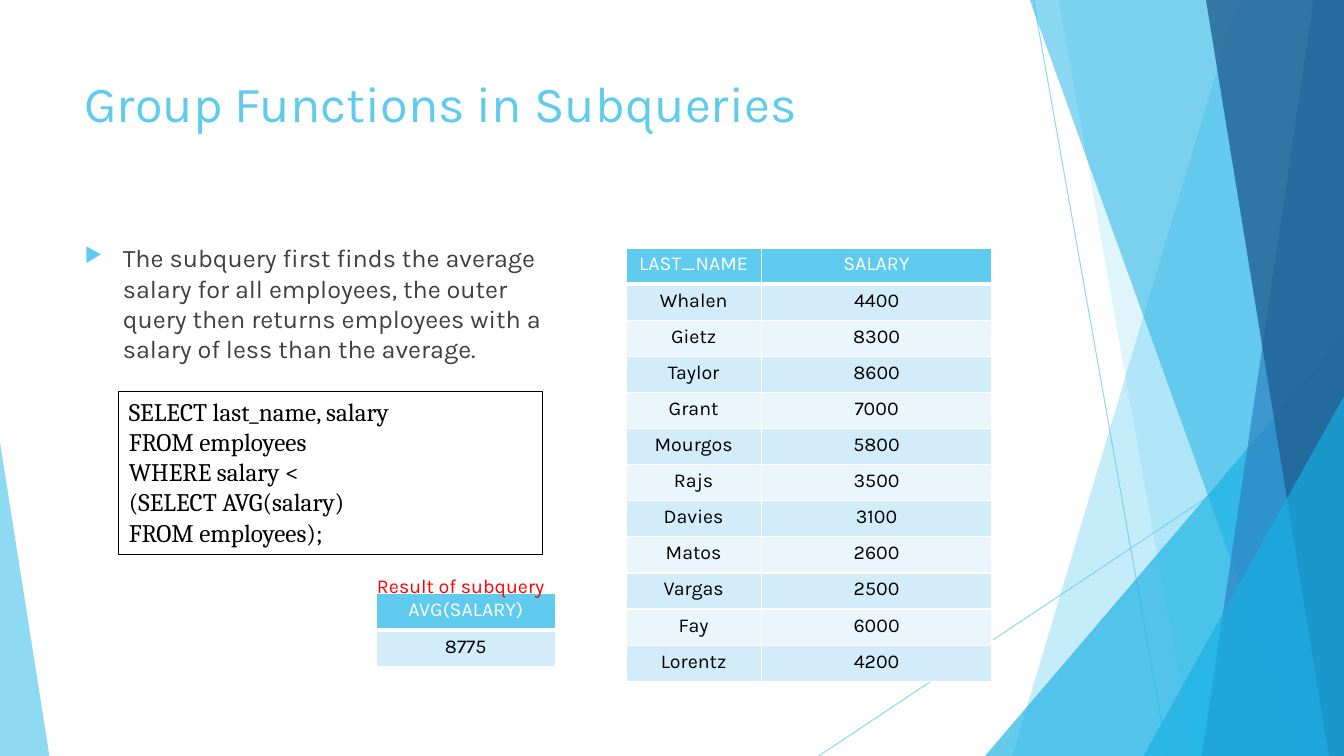
from lxml import etree
from pptx import Presentation
from pptx.dml.color import RGBColor
from pptx.enum.shapes import MSO_CONNECTOR, MSO_SHAPE
from pptx.enum.text import MSO_ANCHOR, PP_ALIGN
from pptx.oxml.ns import qn
from pptx.util import Inches, Pt

SKY, AZURE, BLACK, WHITE = "5FCBEF", "17B0E4", "000000", "FFFFFF"
BANDS = ("EAF6FC", "D2ECF9")
TOP, BOTTOM, RIGHT = -0.01, 7.5, 13.33


def color(value):
    return RGBColor.from_string(value)


def add_color(parent, value):
    node = etree.SubElement(parent, qn("a:srgbClr"))
    node.set("val", value)
    return node


def set_alpha(fill_parent, percent):
    node = next(fill_parent.iter(qn("a:srgbClr")))
    etree.SubElement(node, qn("a:alpha")).set("val", str(percent * 1000))


class SlideBuilder:
    """Draws styled elements on the current slide."""

    font_name = "Karla"

    def __init__(self, slide):
        self.slide = slide
        self.shapes = slide.shapes

    def line(self, x1, y1, x2, y2):
        connector = self.shapes.add_connector(
            MSO_CONNECTOR.STRAIGHT, *map(Inches, (x1, y1, x2, y2)))
        connector.line.color.rgb = color(SKY)
        connector.line.width = Pt(0.75)
        properties = connector._element.spPr
        set_alpha(properties, 70)
        etree.SubElement(properties, qn("a:effectLst"))

    def paint(self, shape, fill, alpha):
        shape.shadow.inherit = False
        shape.fill.solid()
        shape.fill.fore_color.rgb = color(fill)
        set_alpha(shape._element.spPr, alpha)
        shape.line.fill.background()

    def band(self, top_left, bottom_left, fill, alpha):
        builder = self.shapes.build_freeform(
            Inches(top_left), Inches(TOP), scale=1.0)
        corners = [(RIGHT, TOP), (RIGHT, BOTTOM), (bottom_left, BOTTOM)]
        builder.add_line_segments(
            [(Inches(x), Inches(y)) for x, y in corners], close=True)
        self.paint(builder.convert_to_shape(), fill, alpha)

    def triangle(self, left, top, width, apex, fill, alpha):
        shape = self.shapes.add_shape(
            MSO_SHAPE.ISOSCELES_TRIANGLE,
            *map(Inches, (left, top, width, BOTTOM - top)))
        shape.adjustments[0] = apex
        self.paint(shape, fill, alpha)

    def fill_paragraph(self, paragraph, text, size, text_color, font_name=None):
        paragraph.text = text
        paragraph.font.size = Pt(size)
        paragraph.font.name = font_name or self.font_name
        paragraph.font.color.rgb = color(text_color)

    def text(self, box, text, size, text_color):
        shape = self.shapes.add_textbox(*map(Inches, box))
        shape.text_frame.word_wrap = True
        paragraph = shape.text_frame.paragraphs[0]
        self.fill_paragraph(paragraph, text, size, text_color)
        return paragraph

    def bullet(self, box, text, size, text_color):
        paragraph = self.text(box, text, size, text_color)
        paragraph.space_before = Pt(10)
        properties = paragraph._p.get_or_add_pPr()
        properties.set("marL", str(Inches(0.38)))
        properties.set("indent", str(Inches(-0.38)))
        marker = [etree.Element(qn(tag))
                  for tag in ("a:buClr", "a:buSzPct", "a:buChar")]
        add_color(marker[0], SKY)
        marker[1].set("val", "80000")
        marker[2].set("char", "▶")
        spacing = properties.find(qn("a:spcBef"))
        for node in reversed(marker):
            spacing.addnext(node)

    def code(self, box, lines):
        shape = self.shapes.add_shape(MSO_SHAPE.RECTANGLE, *map(Inches, box))
        shape.shadow.inherit = False
        shape.fill.background()
        shape.line.color.rgb = color(BLACK)
        shape.line.width = Pt(0.75)
        frame = shape.text_frame
        frame.word_wrap = True
        frame.vertical_anchor = MSO_ANCHOR.TOP
        for index, line in enumerate(lines):
            paragraph = frame.add_paragraph() if index else frame.paragraphs[0]
            paragraph.alignment = PP_ALIGN.LEFT
            self.fill_paragraph(paragraph, line, 18, BLACK, "Cambria")

    def borders(self, cell, bottom):
        properties = cell._tc.get_or_add_tcPr()
        for side, width in (("L", 1), ("R", 1), ("T", 1), ("B", bottom)):
            border = etree.SubElement(properties, qn("a:ln" + side))
            border.set("w", str(Pt(width)))
            add_color(etree.SubElement(border, qn("a:solidFill")), WHITE)

    def table(self, left, top, height, widths, rows):
        frame = self.shapes.add_table(
            len(rows), len(widths),
            *map(Inches, (left, top, sum(widths), height)))
        table = frame.table
        for column, width in zip(table.columns, widths):
            column.width = Inches(width)
        for row_index, values in enumerate(rows):
            header = row_index == 0
            for column_index, value in enumerate(values):
                cell = table.cell(row_index, column_index)
                self.borders(cell, 3 if header else 1)
                cell.fill.solid()
                cell.fill.fore_color.rgb = color(
                    SKY if header else BANDS[row_index % 2])
                paragraph = cell.text_frame.paragraphs[0]
                paragraph.alignment = PP_ALIGN.CENTER
                self.fill_paragraph(
                    paragraph, value, 14, WHITE if header else BLACK)


def main():
    presentation = Presentation()
    presentation.slide_width = Inches(RIGHT)
    presentation.slide_height = Inches(BOTTOM)
    slide = presentation.slides.add_slide(presentation.slide_layouts[6])
    builder = SlideBuilder(slide)

    builder.line(10.25, 0, 11.58, 7.5)
    builder.line(13.33, 4.03, 8.12, 7.5)
    builder.band(12.28, 10.04, SKY, 36)
    builder.band(10.5, 11.83, SKY, 20)
    builder.triangle(9.77, 3.33, 3.56, 1, AZURE, 66)
    builder.band(10.21, 12.91, AZURE, 50)
    builder.band(13.03, 11.92, "2E83C3", 70)
    builder.band(11.96, 13.18, "226292", 80)
    builder.triangle(11.34, 3.93, 1.99, 1, AZURE, 66)
    builder.triangle(0, 4.39, 0.49, 0, SKY, 70)

    builder.text((0.74, 0.67, 9.4, 1.44),
                 "Group Functions in Subqueries", 36, SKY)
    builder.bullet(
        (0.74, 2.36, 4.99, 4.24),
        "The subquery first finds the average salary for all employees, "
        "the outer query then returns employees with a salary of less than "
        "the average.", 18, "404040")
    builder.code((1.18, 3.88, 4.2, 1.62), [
        "SELECT last_name, salary",
        "FROM employees",
        "WHERE salary <",
        "(SELECT AVG(salary)",
        "FROM employees);",
    ])
    builder.table(3.73, 5.89, 0.72, [1.78], [["AVG(SALARY)"], ["8775"]])
    builder.text((3.64, 5.64, 2.09, 0.34), "Result of subquery", 14, "FF0000")
    builder.table(6.21, 2.46, 4.3, [1.34, 2.29], [
        ("LAST_NAME", "SALARY"),
        ("Whalen", "4400"),
        ("Gietz", "8300"),
        ("Taylor", "8600"),
        ("Grant", "7000"),
        ("Mourgos", "5800"),
        ("Rajs", "3500"),
        ("Davies", "3100"),
        ("Matos", "2600"),
        ("Vargas", "2500"),
        ("Fay", "6000"),
        ("Lorentz", "4200"),
    ])
    presentation.save("out.pptx")


if __name__ == "__main__":
    main()
